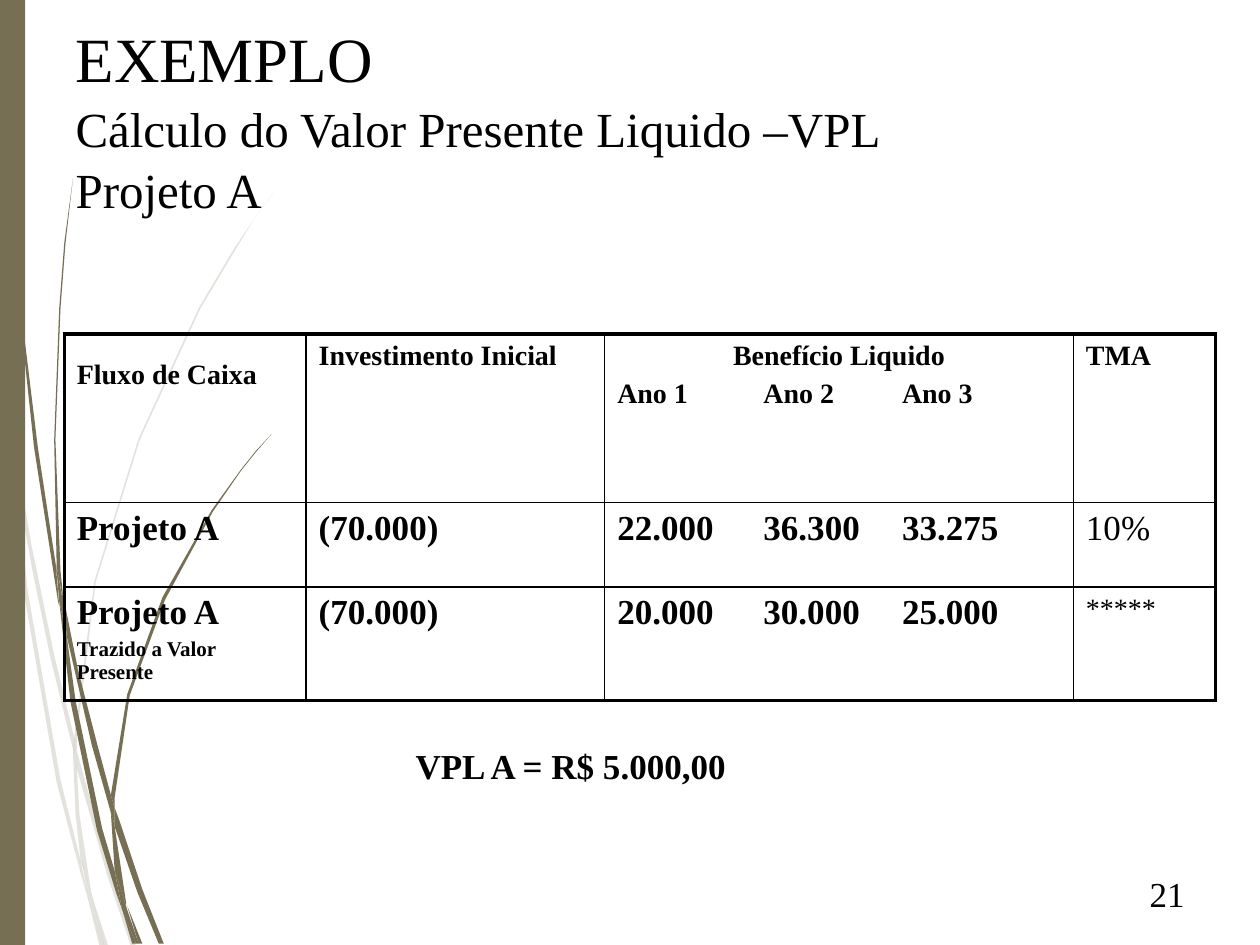
from lxml import etree
from pptx import Presentation
from pptx.dml.color import RGBColor
from pptx.enum.shapes import MSO_SHAPE
from pptx.enum.text import MSO_ANCHOR, MSO_AUTO_SIZE, PP_ALIGN
from pptx.oxml.ns import qn
from pptx.util import Inches, Pt

RECT = MSO_SHAPE.RECTANGLE
TOP, MIDDLE = MSO_ANCHOR.TOP, MSO_ANCHOR.MIDDLE
LEFT, CENTER, RIGHT = PP_ALIGN.LEFT, PP_ALIGN.CENTER, PP_ALIGN.RIGHT
NO_FIT = MSO_AUTO_SIZE.NONE

BLACK = RGBColor(0x00, 0x00, 0x00)
OLIVE = RGBColor(0x76, 0x6F, 0x54)
FONT = "Times New Roman"

COLUMNS = (1.92, 2.37, 3.72, 1.13)
ROWS = (1.34, 0.67, 0.9)
YEAR_TABS = (1.16, 2.26)
CELLS = (
    (
        (("Fluxo de Caixa", 16, True),),
        (("Investimento Inicial", 16, True),),
        (("Benefício Liquido", 16, True), ("Ano 1\tAno 2\tAno 3", 16, True)),
        (("TMA", 16, True),),
    ),
    (
        (("Projeto A", 20, True),),
        (("(70.000)", 20, True),),
        (("22.000\t36.300\t33.275", 20, True),),
        (("10%", 20, False),),
    ),
    (
        (("Projeto A", 20, True), ("Trazido a Valor Presente", 12, True)),
        (("(70.000)", 20, True),),
        (("20.000\t30.000\t25.000", 20, True),),
        (("*****", 16, False),),
    ),
)

PALE_WISPS = (
    ((0.08, 3.5), (0.06, 3.22), (0, 2.82), (0, 2.99), (0.07, 3.44)),
    ((0.4, 5.22), (0.59, 5.99), (0.59, 5.86), (0.43, 5.2), (0.25, 4.33),
     (0.1, 3.45), (0.12, 3.76), (0.25, 4.49)),
    ((0.64, 6.07), (0.61, 5.96), (0.61, 6.1), (0.85, 6.94), (1.04, 7.51),
     (1.08, 7.51), (0.88, 6.92)),
    ((0.83, 7.51), (0.86, 7.51), (0.73, 7.11)),
    ((0.64, 6.83), (0.48, 6.19), (0.22, 4.69), (0.12, 3.76), (0.08, 3.5),
     (0.19, 4.7), (0.45, 6.21), (0.64, 6.93), (0.7, 7.14), (0.69, 7.07)),
    ((0.58, 5.99), (0.6, 6.46), (0.64, 6.83), (0.67, 6.92), (0.73, 7.11),
     (0.72, 7.06), (0.63, 6.46), (0.61, 6.1), (0.61, 6.08)),
    ((0.61, 5.84), (0.76, 4.62), (1.11, 3.49), (1.59, 2.45), (1.87, 1.98),
     (2.01, 1.75), (2.17, 1.53), (2.01, 1.75), (1.86, 1.97), (1.58, 2.44),
     (1.1, 3.48), (0.75, 4.61), (0.59, 5.84), (0.59, 5.86), (0.61, 5.96)),
    ((0.7, 7.14), (0.79, 7.51), (0.82, 7.51)),
    ((0.61, 6.08), (0.61, 6.1), (0.61, 5.96), (0.59, 5.86), (0.58, 5.99)),
    ((0.67, 6.92), (0.65, 6.83), (0.69, 7.07), (0.7, 7.14), (0.82, 7.51),
     (0.83, 7.51), (0.73, 7.11)),
)
DARK_WISPS = (
    ((0.05, 1.1), (0.14, 2.33), (0.27, 3.55), (0.46, 4.77), (0.47, 4.81),
     (0.45, 4.57), (0.45, 4.53), (0.3, 3.55), (0.15, 2.32), (0.06, 1.09),
     (0.04, 0.48), (0.03, 0), (0.02, 0), (0.03, 0.48)),
    ((0.73, 5.92), (0.88, 6.45), (0.88, 6.31), (0.77, 5.9), (0.62, 5.32),
     (0.5, 4.72), (0.53, 5.05)),
    ((0.94, 6.49), (0.91, 6.41), (0.91, 6.56), (1.09, 7.08), (1.26, 7.49),
     (1.3, 7.49), (1.13, 7.06)),
    ((0.91, 6.91), (0.81, 6.57), (0.6, 5.56), (0.53, 5.05), (0.47, 4.77),
     (0.56, 5.57), (0.77, 6.59), (0.92, 7.08), (0.97, 7.22), (0.96, 7.17)),
    ((0.5, 4.72), (0.48, 4.53), (0.44, 3.49), (0.48, 2.45), (0.52, 1.93),
     (0.58, 1.41), (0.51, 1.93), (0.47, 2.45), (0.43, 3.49), (0.45, 4.49),
     (0.49, 4.71)),
    ((1.1, 7.49), (1.13, 7.49), (1.01, 7.19)),
    ((0.47, 4.77), (0.53, 5.05), (0.5, 4.72), (0.49, 4.72), (0.45, 4.49),
     (0.45, 4.53)),
    ((0.91, 6.33), (1.03, 5.52), (1.31, 4.76), (1.69, 4.06), (1.91, 3.74),
     (2.03, 3.59), (2.16, 3.44), (2.03, 3.58), (1.91, 3.73), (1.68, 4.05),
     (1.29, 4.74), (1.01, 5.51), (0.88, 6.31), (0.91, 6.41)),
    ((0.97, 7.22), (1.05, 7.49), (1.08, 7.49)),
    ((0.88, 6.45), (0.91, 6.91), (0.96, 7.06), (1, 7.19), (1, 7.16),
     (0.91, 6.56), (0.9, 6.51)),
    ((0.88, 6.45), (0.9, 6.51), (0.91, 6.56), (0.91, 6.41), (0.88, 6.31)),
    ((0.96, 7.06), (0.91, 6.91), (0.96, 7.17), (0.97, 7.22), (1.08, 7.49),
     (1.1, 7.49), (1, 7.19)),
)


def style(p, size, bold=False, align=LEFT):
    p.alignment = align
    f = p.font
    f.name, f.size, f.bold = FONT, Pt(size), bold
    f.color.rgb = BLACK


def paint(sp, alpha=None):
    sp.shadow.inherit = False
    sp.fill.solid()
    sp.fill.fore_color.rgb = OLIVE
    sp.line.fill.background()
    if alpha:
        color = sp.fill._xPr.find(qn("a:solidFill"))[0]
        etree.SubElement(color, qn("a:alpha")).set("val", str(alpha * 1000))


def add_wisps(s, x, y, outlines, alpha=None):
    group = s.shapes.add_group_shape()
    for outline in outlines:
        points = [(Inches(x + px), Inches(y + py)) for px, py in outline]
        builder = group.shapes.build_freeform(*points[0])
        builder.add_line_segments(points[1:], close=True)
        paint(builder.convert_to_shape(), alpha)


def add_side_bar(s, x, y, w, h):
    bar = s.shapes.add_shape(RECT, Inches(x), Inches(y), Inches(w), Inches(h))
    paint(bar)


def set_title(s, x, y, w, h):
    sp = s.shapes.title
    sp.left, sp.top, sp.width, sp.height = map(Inches, (x, y, w, h))
    tf = sp.text_frame
    tf.auto_size, tf.vertical_anchor = NO_FIT, MIDDLE
    tf.text = "EXEMPLO\vCálculo do Valor Presente Liquido –VPL\vProjeto A"
    p = tf.paragraphs[0]
    style(p, 28)
    p.line_spacing = 1.05
    p.runs[0].font.size = Pt(36)


def add_label(s, x, y, w, h, text, align, anchor=TOP, bold=False):
    sp = s.shapes.add_textbox(Inches(x), Inches(y), Inches(w), Inches(h))
    tf = sp.text_frame
    tf.word_wrap, tf.vertical_anchor = True, anchor
    p = tf.paragraphs[0]
    p.text = text
    style(p, 20, bold, align)


def add_tabs(p):
    tabs = etree.SubElement(p._p.get_or_add_pPr(), qn("a:tabLst"))
    for pos in YEAR_TABS:
        etree.SubElement(tabs, qn("a:tab"), pos=str(Inches(pos)), algn="l")


def set_borders(cell, row, col):
    outer = (col == 0, col == len(COLUMNS) - 1, row == 0, row == len(ROWS) - 1)
    tcPr = cell._tc.get_or_add_tcPr()
    for i, (side, is_outer) in enumerate(zip("LRTB", outer)):
        ln = etree.Element(qn("a:ln" + side), w=str(Pt(2.25 if is_outer else 1)))
        fill = etree.SubElement(ln, qn("a:solidFill"))
        etree.SubElement(fill, qn("a:srgbClr"), val=str(BLACK))
        tcPr.insert(i, ln)


def fill_cell(cell, lines):
    cell.margin_left = cell.margin_right = Inches(0.1)
    cell.margin_top = cell.margin_bottom = Inches(0.05)
    cell.fill.background()
    tf = cell.text_frame
    for i, (text, size, bold) in enumerate(lines):
        p = tf.add_paragraph() if i else tf.paragraphs[0]
        p.text = text
        if i:
            p.space_before = Pt(size / 4)
        if "\t" in text:
            add_tabs(p)
        style(p, size, bold)


def add_cash_flow(s, x, y):
    frame = s.shapes.add_table(len(ROWS), len(COLUMNS), Inches(x), Inches(y),
                               Inches(sum(COLUMNS)), Inches(sum(ROWS)))
    table = frame.table
    table.first_row = table.horz_banding = False
    for column, width in zip(table.columns, COLUMNS):
        column.width = Inches(width)
    for r, height in enumerate(ROWS):
        table.rows[r].height = Inches(height)
        for c, lines in enumerate(CELLS[r]):
            fill_cell(table.cell(r, c), lines)
            set_borders(table.cell(r, c), r, c)
    table.cell(0, 0).margin_top = Inches(0.2)
    table.cell(0, 2).text_frame.paragraphs[0].alignment = CENTER


def main():
    prs = Presentation()
    prs.slide_width, prs.slide_height = Inches(10), Inches(7.5)
    s = prs.slides.add_slide(prs.slide_layouts[5])
    add_wisps(s, 0, 0, PALE_WISPS, 20)
    add_wisps(s, 0, 0, DARK_WISPS)
    add_side_bar(s, 0, 0, 0.2, 7.5)
    set_title(s, 0.5, 0.11, 9, 1.64)
    add_label(s, 7.17, 6.83, 2.33, 0.52, "21", RIGHT, MIDDLE)
    add_cash_flow(s, 0.51, 2.65)
    add_label(s, 2.01, 5.86, 5.04, 0.44, "VPL A = R$ 5.000,00", CENTER, bold=True)
    prs.save("out.pptx")


if __name__ == "__main__":
    main()
